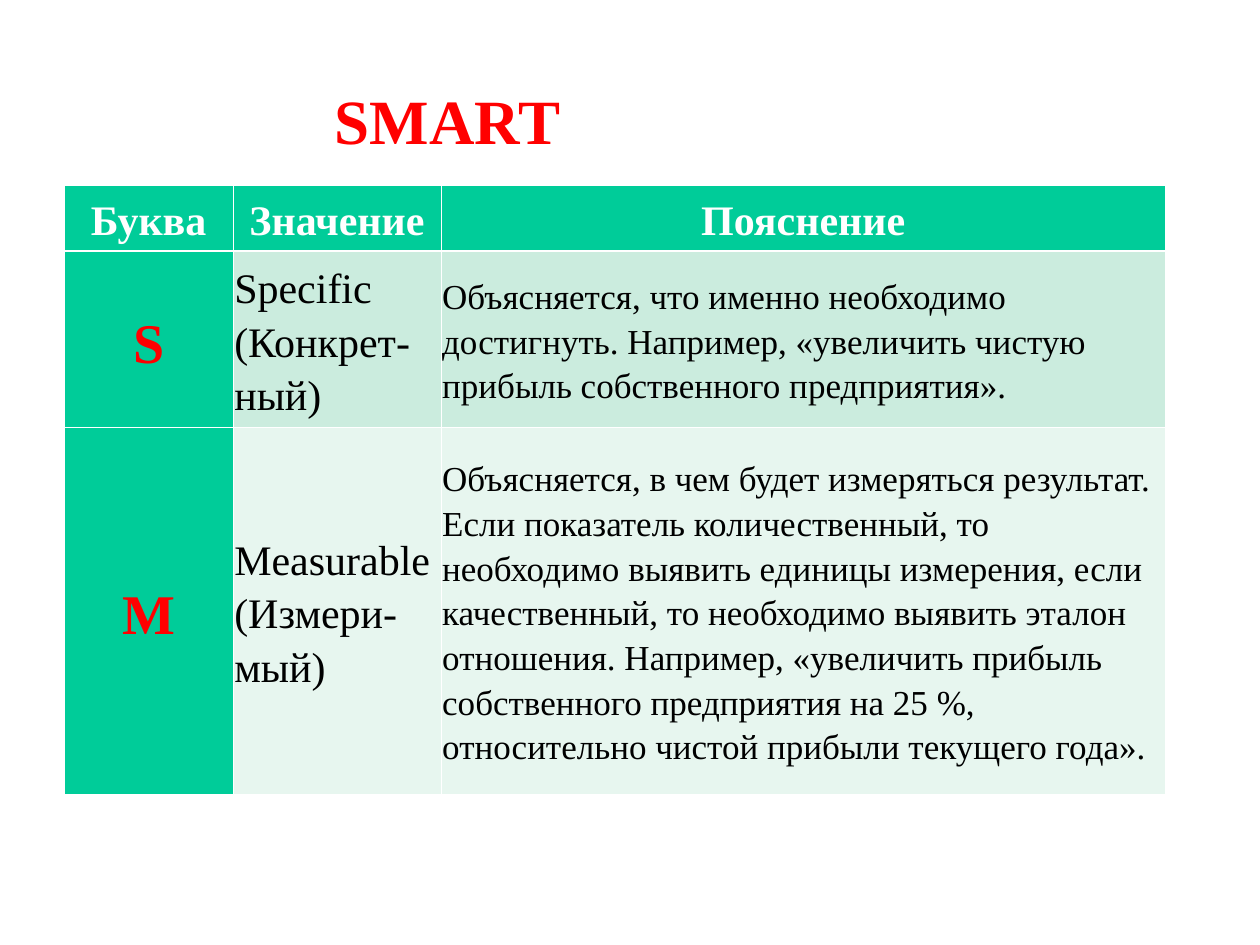
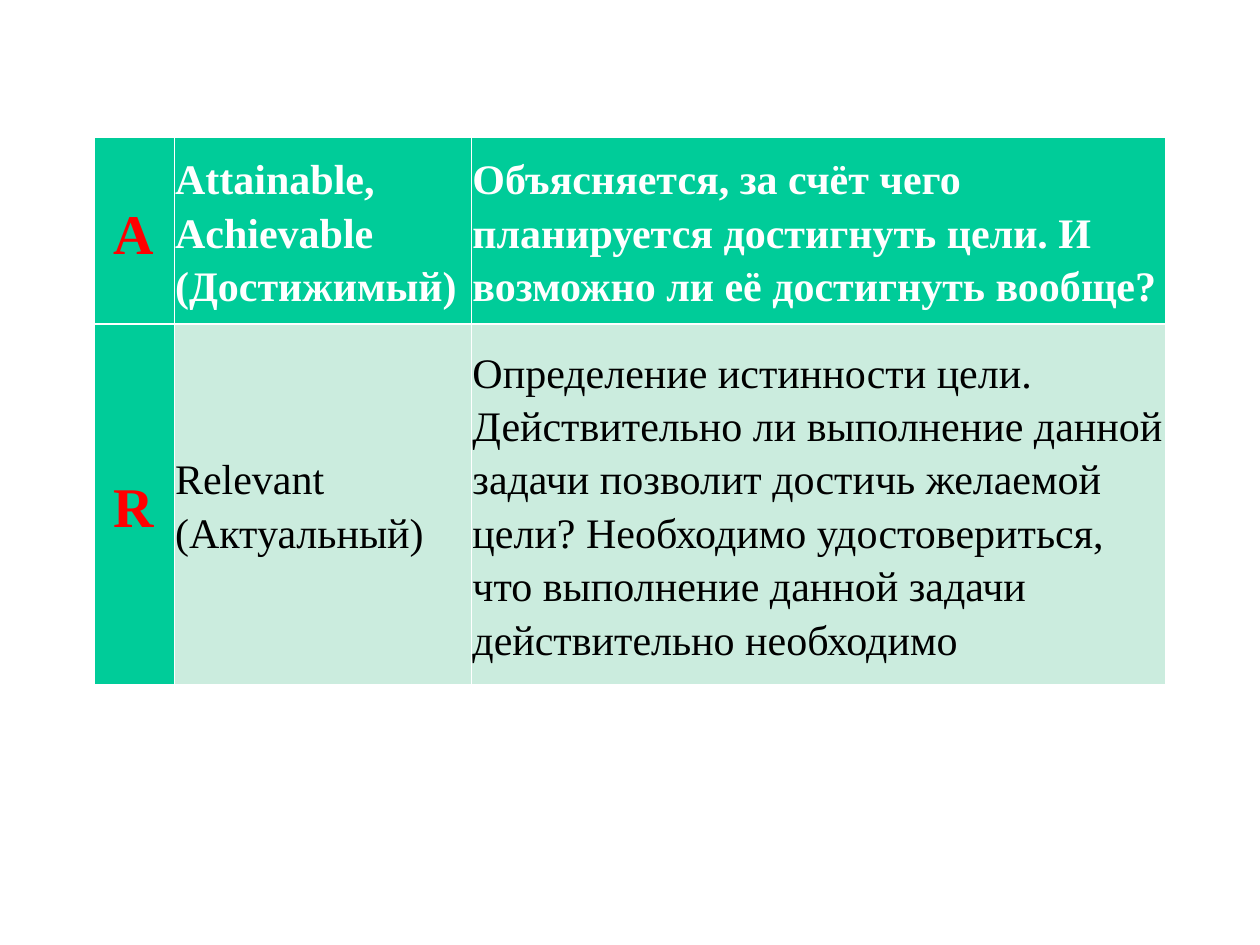
"""Build two slides that explain the SMART criteria in tables."""
from dataclasses import dataclass

from lxml.etree import SubElement
from pptx import Presentation
from pptx.dml.color import RGBColor
from pptx.enum.text import MSO_ANCHOR, PP_ALIGN
from pptx.oxml.ns import qn
from pptx.util import Inches, Pt


@dataclass(frozen=True)
class Theme:
    font: str = "Times New Roman"
    green: str = "00CC99"
    bands: tuple = ("CBECDE", "E7F6EF")
    white: str = "FFFFFF"
    black: str = "000000"
    red: str = "FF0000"
    title_size: int = 36
    letter_size: int = 32
    text_size: int = 24
    small_size: int = 20
    thin_line: float = 0.45
    thick_line: float = 1.47


theme = Theme()


def format_text(paragraph, size, color, bold):
    for run in paragraph.runs:
        run.font.name = theme.font
        run.font.size = Pt(size)
        run.font.bold = bold
        run.font.color.rgb = RGBColor.from_string(color)


def add_borders(cell, row_index):
    top = theme.thick_line if row_index == 1 else theme.thin_line
    bottom = theme.thick_line if row_index == 0 else theme.thin_line
    sides = {"a:lnL": theme.thin_line, "a:lnR": theme.thin_line, "a:lnT": top, "a:lnB": bottom}
    properties = cell._tc.get_or_add_tcPr()
    for position, (side, width) in enumerate(sides.items()):
        line = SubElement(properties, qn(side), w=str(int(Pt(width))))
        fill = SubElement(line, qn("a:solidFill"))
        SubElement(fill, qn("a:srgbClr"), val=theme.white)
        properties.insert(position, line)


tables = [
    {
        "left": 0.51, "top": 1.47,
        "columns": [1.34, 1.65, 5.75],
        "rows": [0.48, 1.4, 2.91],
        "explanation_size": theme.small_size,
        "cells": [
            ("Буква", "Значение", "Пояснение"),
            ("S", "Specific (Конкрет-ный)",
             "Объясняется, что именно необходимо достигнуть. Например, "
             "«увеличить чистую прибыль собственного предприятия»."),
            ("M", "Measurable (Измери-мый)",
             "Объясняется, в чем будет измеряться результат. Если показатель "
             "количественный, то необходимо выявить единицы измерения, если "
             "качественный, то необходимо выявить эталон отношения. Например, "
             "«увеличить прибыль собственного предприятия на 25 %, "
             "относительно чистой прибыли текущего года»."),
        ],
    },
    {
        "left": 0.75, "top": 1.09,
        "columns": [0.63, 2.36, 5.51],
        "rows": [1.4, 2.78],
        "explanation_size": theme.text_size,
        "cells": [
            ("A", "Attainable, Achievable (Достижимый)",
             "Объясняется, за счёт чего планируется достигнуть цели. "
             "И возможно ли её достигнуть вообще?"),
            ("R", "Relevant (Актуальный)",
             "Определение истинности цели. Действительно ли выполнение данной "
             "задачи позволит достичь желаемой цели? Необходимо удостовериться, "
             "что выполнение данной задачи действительно необходимо"),
        ],
    },
]

presentation = Presentation()
presentation.slide_width = Inches(10)
presentation.slide_height = Inches(7.5)

for content in tables:
    slide = presentation.slides.add_slide(presentation.slide_layouts[6])
    columns, rows = content["columns"], content["rows"]
    table = slide.shapes.add_table(
        len(rows), len(columns), Inches(content["left"]), Inches(content["top"]),
        Inches(sum(columns)), Inches(sum(rows))).table
    for column, width in zip(table.columns, columns):
        column.width = Inches(width)
    for row, height in zip(table.rows, rows):
        row.height = Inches(height)

    for row_index, texts in enumerate(content["cells"]):
        for column_index, text in enumerate(texts):
            is_header = row_index == 0
            is_letter = column_index == 0 and len(text) == 1
            is_title = is_header and texts[0] == "Буква"
            cell = table.cell(row_index, column_index)
            cell.margin_left = cell.margin_right = Inches(0.01)
            cell.margin_top = cell.margin_bottom = Inches(0.05)
            cell.vertical_anchor = MSO_ANCHOR.MIDDLE
            is_green = is_header or column_index == 0
            fill_color = theme.green if is_green else theme.bands[(row_index - 1) % 2]
            cell.fill.solid()
            cell.fill.fore_color.rgb = RGBColor.from_string(fill_color)
            add_borders(cell, row_index)

            cell.text_frame.text = text
            paragraph = cell.text_frame.paragraphs[0]
            paragraph.line_spacing = 1.15
            paragraph.alignment = PP_ALIGN.CENTER if is_letter or is_title else PP_ALIGN.LEFT
            if is_letter:
                size, color = theme.letter_size, theme.red
            elif is_header:
                size, color = theme.text_size, theme.white
            else:
                size = content["explanation_size"] if column_index == 2 else theme.text_size
                color = theme.black
            format_text(paragraph, size, color, is_header or is_letter)

title = presentation.slides[0].shapes.add_textbox(
    Inches(2.56), Inches(0.6), Inches(4.25), Inches(0.7))
title.text_frame.word_wrap = True
title.text_frame.text = "SMART"
format_text(title.text_frame.paragraphs[0], theme.title_size, theme.red, True)

presentation.save("out.pptx")
